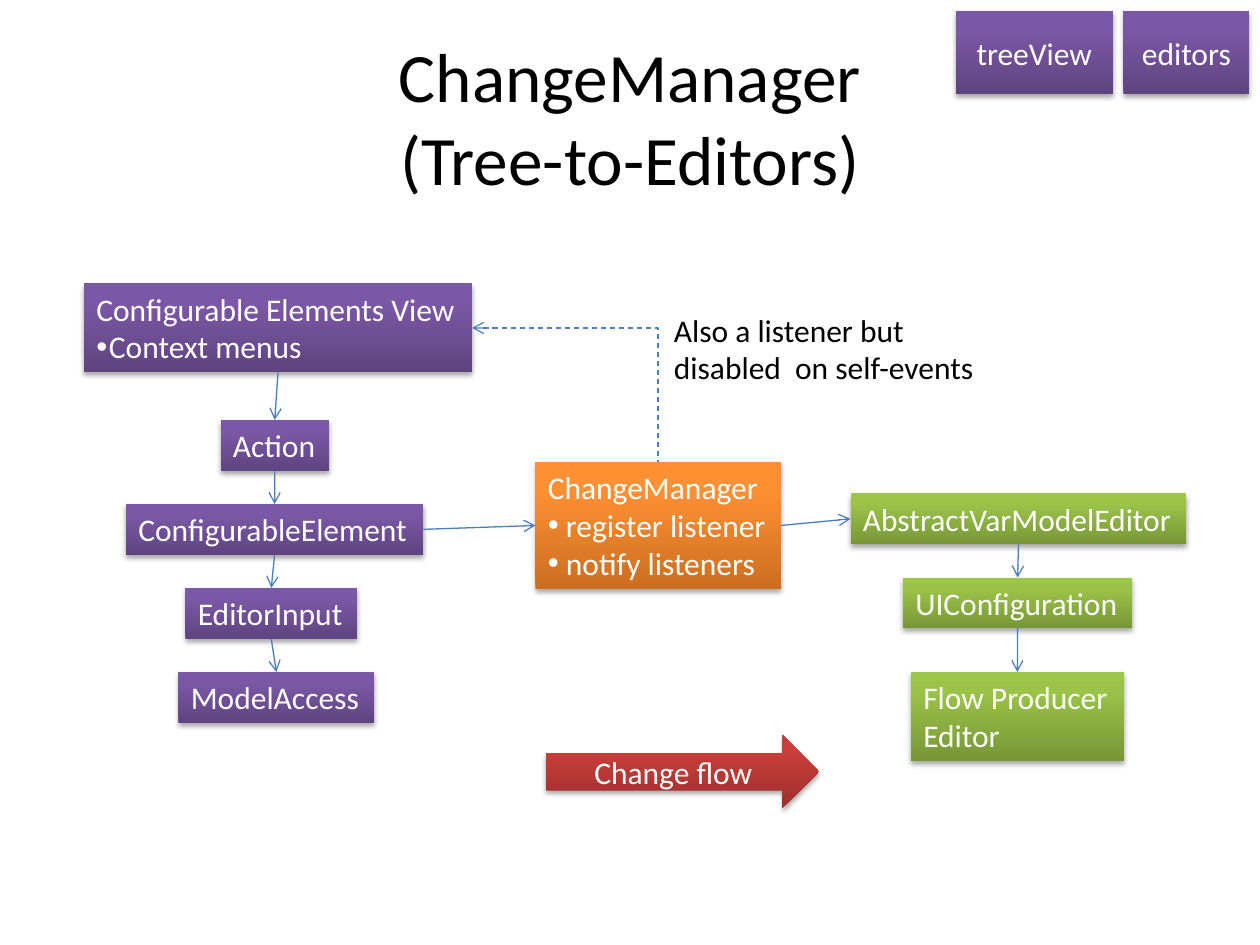
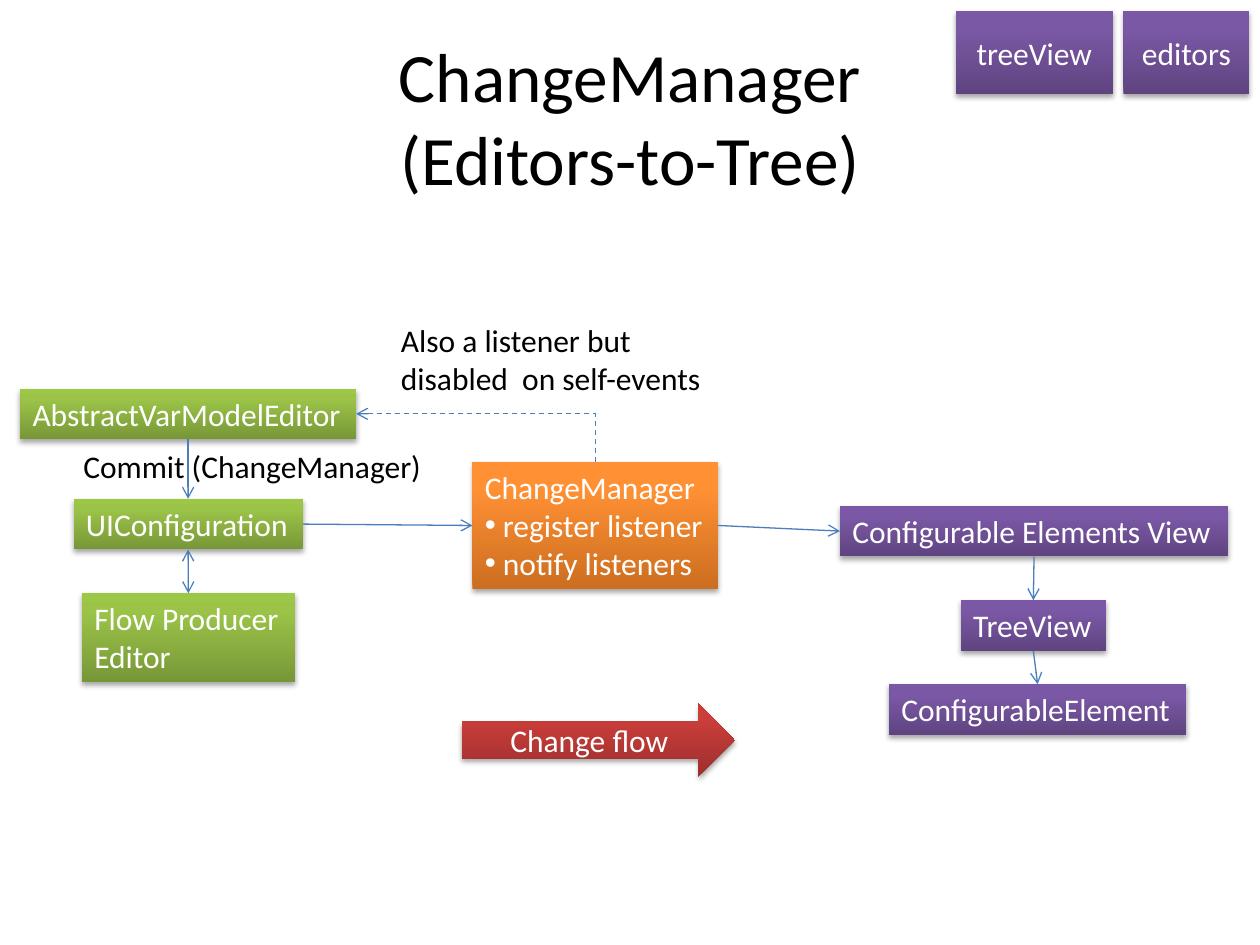
"""Builds two slides showing how changes flow between the tree view and the editors."""
import lxml.etree
import pptx
import pptx.dml.color
import pptx.enum.dml
import pptx.enum.shapes
import pptx.enum.text
import pptx.oxml.ns
import pptx.util

Pt = pptx.util.Pt
Shape = pptx.enum.shapes.MSO_SHAPE
Connector = pptx.enum.shapes.MSO_CONNECTOR
Anchor = pptx.enum.text.MSO_ANCHOR
Align = pptx.enum.text.PP_ALIGN

FONT, TEXT_SIZE, TITLE_SIZE = "Calibri", 18, 39.6
BLACK, WHITE, LINK_BLUE = "000000", "FFFFFF", "4B7EBC"
GRADIENTS = {
    "purple": ("5F4480", "7B58A6", "7C57A8"),
    "green": ("779737", "9BC348", "9DC746"),
    "orange": ("CC6E20", "FF9034", "FF9136"),
    "red": ("9C2F2D", "CB3E3A", "CE3B37"),
}
STOPS = (0, 80, 100)
LINE_HEIGHT, PADDING = 21.8, 7.2
TOP, LEFT, BOTTOM, RIGHT = range(4)

TITLE_PLACE = (36, 21.6, 648, 90)
TAGS = [("treeView", 90), ("editors", 72)]
TAG_LEFT, TAG_TOP, TAG_HEIGHT, TAG_GAP = 546, 6, 48, 6
FLOW_LABEL, FLOW_SIZE = "Change flow", (156, 42)

LISTENER_NOTE = ("Also a listener but\ndisabled  on self-events", 188.6)
COMMIT_NOTE = ("Commit (ChangeManager)", 209.5)

NODES = {
    "manager": ("ChangeManager\n• register listener\n• notify listeners", "orange", 140.2),
    "view": ("Configurable Elements View", "purple", 221.8),
    "menu view": ("Configurable Elements View\n•Context menus", "purple", 221.8),
    "action": ("Action", "purple", 62),
    "element": ("ConfigurableElement", "purple", 169.9),
    "input": ("EditorInput", "purple", 98),
    "access": ("ModelAccess", "purple", 111.8),
    "tree": ("TreeView", "purple", 83),
    "model editor": ("AbstractVarModelEditor", "green", 192),
    "configuration": ("UIConfiguration", "green", 131),
    "producer": ("Flow Producer\vEditor", "green", 121.7),
}

SLIDES = [
    {
        "title": "ChangeManager\v(Tree-to-Editors)",
        "nodes": {
            "manager": (306, 264), "menu view": (48, 162), "action": (126, 240),
            "element": (72, 288), "input": (106, 336), "access": (102, 384),
            "model editor": (486, 282), "configuration": (516, 330), "producer": (520.5, 384),
        },
        "down": [("menu view", "action"), ("action", "element"), ("element", "input"),
                 ("input", "access"), ("model editor", "configuration"),
                 ("configuration", "producer")],
        "two_way": [],
        "across": [("element", "manager"), ("manager", "model editor")],
        "listener": "menu view",
        "notes": [(LISTENER_NOTE, (378, 174))],
        "flow": (312, 420),
    },
    {
        "title": "ChangeManager\v(Editors-to-Tree)",
        "nodes": {
            "manager": (270, 264), "view": (480, 289), "tree": (549, 343),
            "element": (508, 391), "model editor": (11.5, 222),
            "configuration": (42, 285), "producer": (46.8, 339),
        },
        "down": [("view", "tree"), ("tree", "element"), ("model editor", "configuration")],
        "two_way": [("configuration", "producer")],
        "across": [("configuration", "manager"), ("manager", "view")],
        "listener": "model editor",
        "notes": [(LISTENER_NOTE, (222, 180)), (COMMIT_NOTE, (40.5, 252))],
        "flow": (264, 402),
    },
]


def colour(code):
    return pptx.dml.color.RGBColor.from_string(code)


def add_element(parent, tag, **attributes):
    return lxml.etree.SubElement(parent, pptx.oxml.ns.qn(tag), attributes)


def find_element(parent, tag):
    return parent.find(".//" + pptx.oxml.ns.qn(tag))


def points(*lengths):
    return [Pt(length) for length in lengths]


def text_height(text):
    lines = 1 + text.count("\n") + text.count("\v")
    return PADDING + LINE_HEIGHT * lines


def add_bullet(para, indent):
    properties = para._p.get_or_add_pPr()
    properties.set("marL", str(Pt(indent)))
    properties.set("indent", str(-Pt(indent)))
    add_element(properties, "a:buFont", typeface="Arial")
    add_element(properties, "a:buChar", char="•")


def write_text(shape, text, code, size=TEXT_SIZE, centred=False):
    frame = shape.text_frame
    frame.word_wrap = centred
    frame.vertical_anchor = Anchor.MIDDLE if centred else Anchor.TOP
    if not centred:
        frame.auto_size = pptx.enum.text.MSO_AUTO_SIZE.SHAPE_TO_FIT_TEXT
    lines = text.split("\n")
    frame.text = "\n".join(line.removeprefix("•") for line in lines)
    for line, para in zip(lines, frame.paragraphs):
        para.alignment = Align.CENTER if centred else Align.LEFT
        para.font.name = FONT
        para.font.size = Pt(size)
        para.font.color.rgb = colour(code)
        if line.startswith("•"):
            add_bullet(para, 0 if line.startswith("• ") else 7.2)


def add_block(page, kind, place, text, shade, centred=False):
    block = page.shapes.add_shape(kind, *points(*place))
    block.fill.gradient()
    block.fill.gradient_angle = 90
    stops = find_element(block.element, "a:gsLst")
    stops.clear()
    for position, code in zip(STOPS, GRADIENTS[shade]):
        stop = add_element(stops, "a:gs", pos=str(position * 1000))
        add_element(stop, "a:srgbClr", val=code)
    block.line.fill.background()
    block.shadow.inherit = False
    shadow = add_element(find_element(block.element, "a:effectLst"), "a:outerShdw",
                         blurRad=str(Pt(3.1)), dist=str(Pt(1.8)), dir="5400000",
                         rotWithShape="0")
    shade_colour = add_element(shadow, "a:srgbClr", val=BLACK)
    add_element(shade_colour, "a:alpha", val="35000")
    write_text(block, text, WHITE, centred=centred)
    return block


def add_text(page, place, text, **style):
    write_text(page.shapes.add_textbox(*points(*place)), text, BLACK, **style)


def add_link(page, start, start_side, end, end_side, arrows=("tailEnd",), bent=False):
    kind = Connector.ELBOW if bent else Connector.STRAIGHT
    link = page.shapes.add_connector(kind, 0, 0, 0, 0)
    link.begin_connect(start, start_side)
    link.end_connect(end, end_side)
    link.line.color.rgb = colour(LINK_BLUE)
    link.line.width = Pt(0.75)
    if bent:
        find_element(link.element, "a:prstGeom").set("prst", "bentConnector2")
        link.line.dash_style = pptx.enum.dml.MSO_LINE.DASH
    for arrow in arrows:
        add_element(find_element(link.element, "a:ln"), "a:" + arrow, type="arrow")
    add_element(link.element.spPr, "a:effectLst")


def add_header(page, title):
    add_text(page, TITLE_PLACE, title, size=TITLE_SIZE, centred=True)
    left = TAG_LEFT
    for label, width in TAGS:
        place = (left, TAG_TOP, width, TAG_HEIGHT)
        add_block(page, Shape.RECTANGLE, place, label, "purple", centred=True)
        left += width + TAG_GAP


def build_slide(deck, content):
    page = deck.slides.add_slide(deck.slide_layouts[6])
    add_header(page, content["title"])
    boxes = {}
    for name, corner in content["nodes"].items():
        text, shade, width = NODES[name]
        place = (*corner, width, text_height(text))
        boxes[name] = add_block(page, Shape.RECTANGLE, place, text, shade)
    for start, end in content["down"]:
        add_link(page, boxes[start], BOTTOM, boxes[end], TOP)
    for start, end in content["two_way"]:
        add_link(page, boxes[start], BOTTOM, boxes[end], TOP, arrows=("headEnd", "tailEnd"))
    for start, end in content["across"]:
        add_link(page, boxes[start], RIGHT, boxes[end], LEFT)
    add_link(page, boxes[content["listener"]], RIGHT, boxes["manager"], TOP,
             arrows=("headEnd",), bent=True)
    for (text, width), corner in content["notes"]:
        add_text(page, (*corner, width, text_height(text)), text)
    add_block(page, Shape.RIGHT_ARROW, (*content["flow"], *FLOW_SIZE), FLOW_LABEL,
              "red", centred=True)


def main():
    deck = pptx.Presentation()
    deck.slide_width, deck.slide_height = points(720, 540)
    for content in SLIDES:
        build_slide(deck, content)
    deck.save("out.pptx")


if __name__ == "__main__":
    main()
